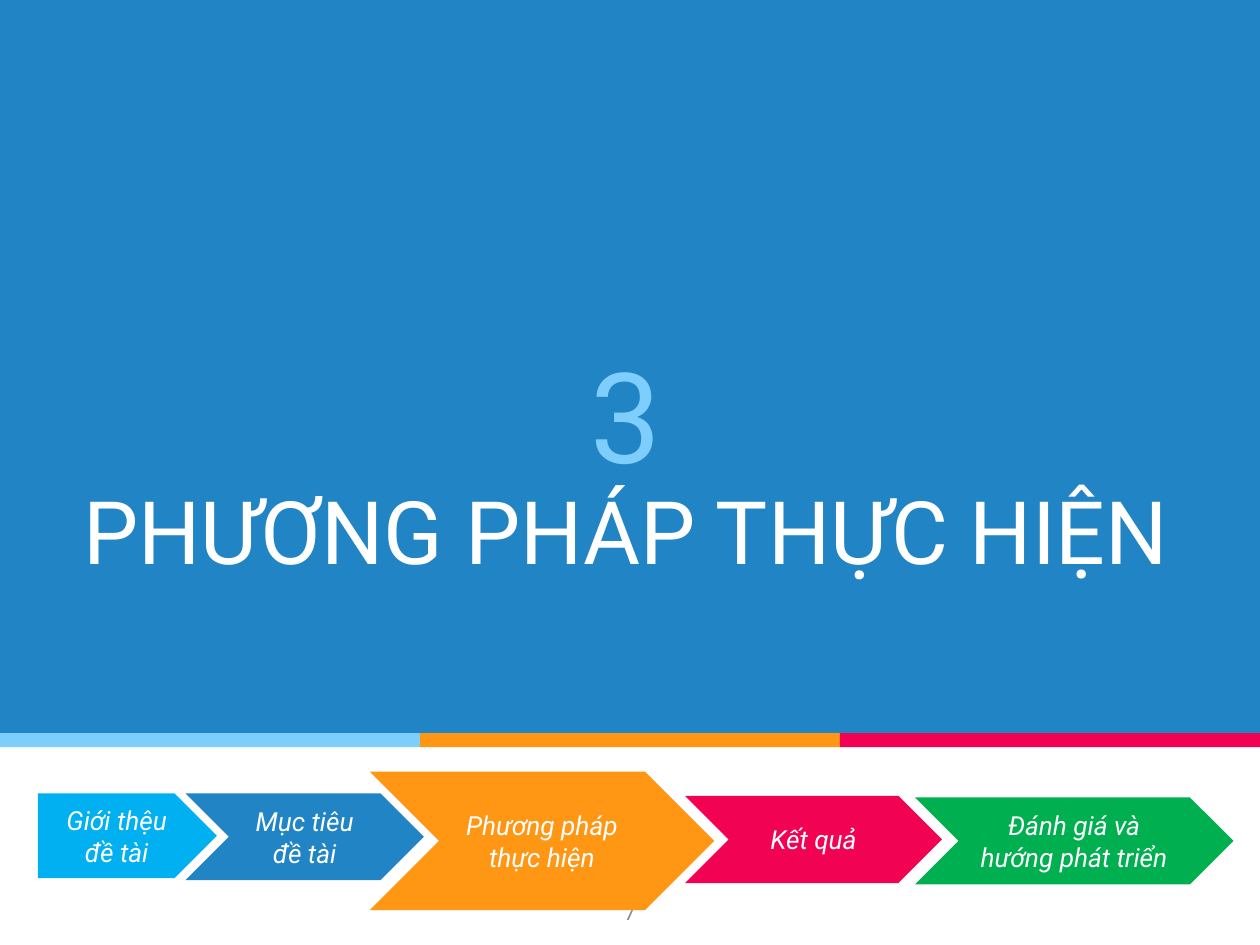
"""Build the section slide for part 3, with a coloured band and a progress trail."""
from dataclasses import dataclass

from pptx import Presentation
from pptx.dml.color import RGBColor
from pptx.enum.shapes import MSO_SHAPE as Shape
from pptx.enum.text import MSO_ANCHOR as Anchor, MSO_AUTO_SIZE as AutoSize, PP_ALIGN as Align
from pptx.util import Pt


@dataclass(frozen=True)
class Theme:
    font: str = "Roboto"
    blue: str = "2185C5"
    sky: str = "7ECEFD"
    orange: str = "FF9715"
    pink: str = "F20253"
    green: str = "00B050"
    cyan: str = "00B0F0"
    grey: str = "8C8C8C"
    white: str = "FFFFFF"
    number_size: int = 72
    heading_size: int = 50
    step_size: int = 15
    page_size: int = 12


THEME = Theme()
WIDTH, HEIGHT = 720, 540
PANEL_HEIGHT, STRIPE_HEIGHT = 419, 8
MARGIN = 7.2

HEADING = [
    ("3", dict(size=THEME.number_size, color=THEME.sky, spacing=1.5)),
    ("PHƯƠNG PHÁP THỰC HIỆN", dict(size=THEME.heading_size, color=THEME.white, spacing=0.9)),
]
PAGE_NUMBER = "7"
STRIPES = [THEME.sky, THEME.orange, THEME.pink]
STEPS = [
    ("Phương pháp thực hiện", Shape.CHEVRON, THEME.orange, (211.3, 440.9, 196.8, 79.2)),
    ("Kết quả", Shape.CHEVRON, THEME.pink, (391.5, 454.8, 146.8, 49.8)),
    ("Đánh giá và hướng phát triển", Shape.CHEVRON, THEME.green, (522.8, 455.6, 182, 49.8)),
    ("Mục tiêu đề tài", Shape.CHEVRON, THEME.blue, (106, 453.4, 136.2, 49.6)),
    ("Giới thệu đề tài", Shape.PENTAGON, THEME.cyan, (21.6, 453.4, 102.4, 48.4)),
]


def rgb(color):
    return RGBColor.from_string(color)


def write(frame, text, *, size, color, italic=False, spacing=None, anchor=Anchor.TOP, add=False):
    frame.word_wrap = True
    frame.auto_size = AutoSize.NONE
    frame.vertical_anchor = anchor
    frame.margin_left = frame.margin_right = frame.margin_top = frame.margin_bottom = Pt(MARGIN)
    paragraph = frame.add_paragraph() if add else frame.paragraphs[0]
    paragraph.alignment = Align.CENTER
    if spacing:
        paragraph.line_spacing = spacing
    run = paragraph.add_run()
    run.text = text
    run.font.name = THEME.font
    run.font.size = Pt(size)
    run.font.italic = italic
    run.font.color.rgb = rgb(color)


def add_block(slide, kind, color, box):
    block = slide.shapes.add_shape(kind, *map(Pt, box))
    block.shadow.inherit = False
    block.fill.solid()
    block.fill.fore_color.rgb = rgb(color)
    block.line.fill.background()
    return block


def add_heading(slide):
    title = slide.shapes.title
    title.left, title.top, title.width, title.height = map(Pt, (10.8, 141.1, 694.1, 199.4))
    for index, (text, style) in enumerate(HEADING):
        write(title.text_frame, text, anchor=Anchor.BOTTOM, add=index > 0, **style)
    slide.shapes._spTree.append(title._element)


def main():
    deck = Presentation()
    deck.slide_width, deck.slide_height = Pt(WIDTH), Pt(HEIGHT)
    slide = deck.slides.add_slide(deck.slide_layouts[5])

    add_block(slide, Shape.RECTANGLE, THEME.blue, (0, 0, WIDTH, PANEL_HEIGHT))
    stripe_width = WIDTH / len(STRIPES)
    for index, color in enumerate(STRIPES):
        box = (index * stripe_width, PANEL_HEIGHT, stripe_width, STRIPE_HEIGHT)
        add_block(slide, Shape.RECTANGLE, color, box)
    add_heading(slide)

    page = slide.shapes.add_textbox(*map(Pt, (0, 506.9, WIDTH, 33.1)))
    write(page.text_frame, PAGE_NUMBER, size=THEME.page_size, color=THEME.grey)

    for label, kind, color, box in STEPS:
        step = add_block(slide, kind, color, box)
        step.adjustments[0] = 0.5
        write(step.text_frame, label, size=THEME.step_size, color=THEME.white,
              italic=True, anchor=Anchor.MIDDLE)

    deck.save("out.pptx")


if __name__ == "__main__":
    main()
